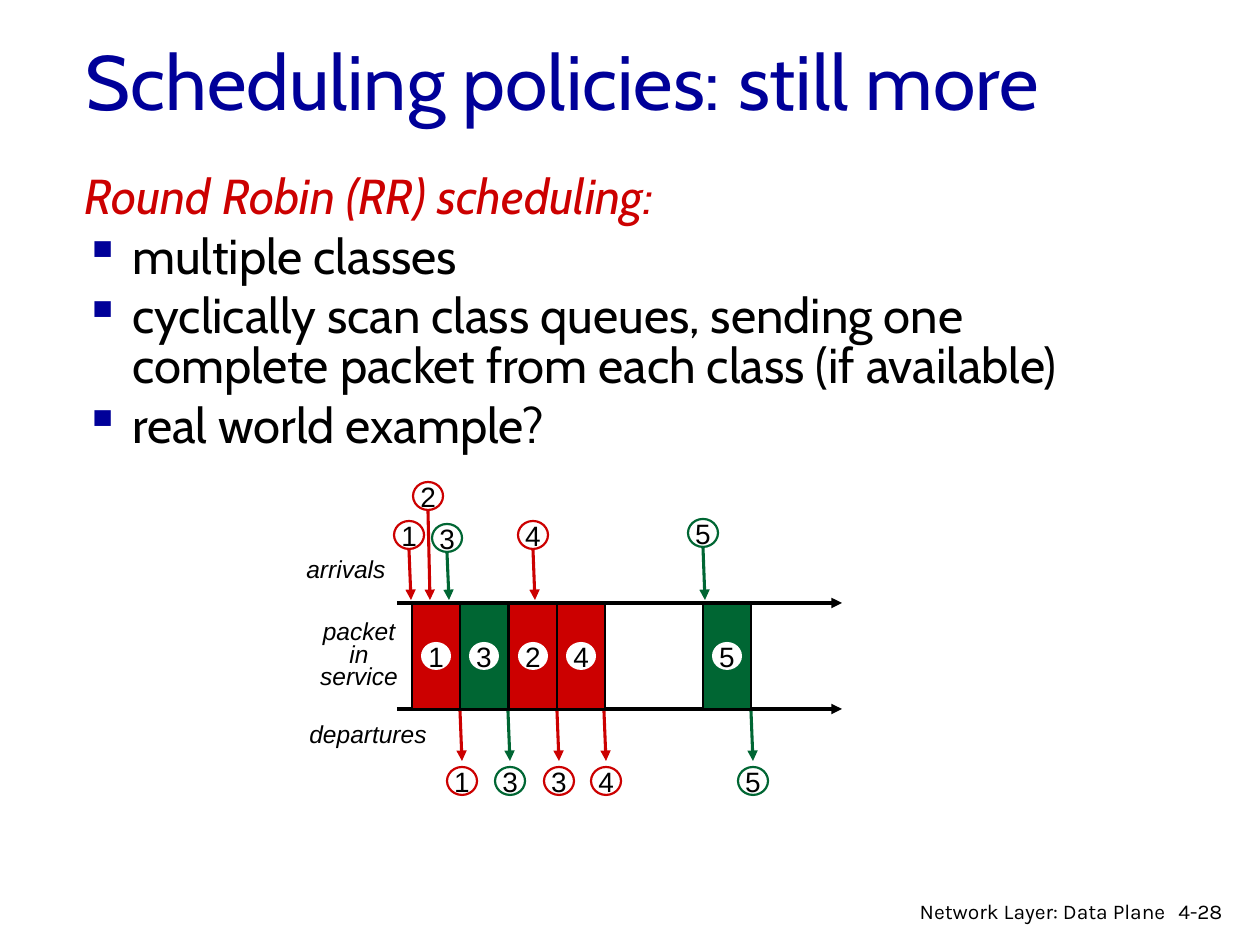
"""Build the slide on round robin packet scheduling."""
from dataclasses import dataclass

from lxml import etree
from pptx import Presentation
from pptx.dml.color import RGBColor
from pptx.enum.shapes import MSO_CONNECTOR, MSO_SHAPE
from pptx.enum.text import MSO_ANCHOR, PP_ALIGN
from pptx.oxml.ns import qn
from pptx.util import Emu, Pt

STRAIGHT = MSO_CONNECTOR.STRAIGHT
OVAL, RECT = MSO_SHAPE.OVAL, MSO_SHAPE.RECTANGLE
TOP, MIDDLE = MSO_ANCHOR.TOP, MSO_ANCHOR.MIDDLE
LEFT, CENTER, RIGHT = PP_ALIGN.LEFT, PP_ALIGN.CENTER, PP_ALIGN.RIGHT
PX = 914400 / 126


@dataclass(frozen=True)
class Theme:
    """Colours, fonts and type sizes of the slide."""
    blue: str = "000099"
    red: str = "CC0000"
    green: str = "006633"
    black: str = "000000"
    white: str = "FFFFFF"
    head_font: str = "Cabin"
    label_font: str = "Arial"
    foot_font: str = "Karla"
    title: int = 44
    body: int = 28
    number: int = 16
    label: int = 14
    foot: int = 12


T = Theme()
BULLETS = [
    "multiple classes",
    "cyclically scan class queues, sending one complete packet from each class (if available)",
    "real world example?",
]
AXIS_LEFT, AXIS_RIGHT, ARRIVAL_Y, DEPARTURE_Y = 397, 842, 603, 709
BLOCK_LEFT, BLOCK_W, BLOCK_H = 412, 48, 105
SERVICE = [(0, "1", T.red), (1, "3", T.green), (2, "2", T.red), (3, "4", T.red), (6, "5", T.green)]
ARRIVALS = [("5", T.green, 703, 533), ("2", T.red, 428, 496), ("1", T.red, 409, 535),
            ("3", T.green, 447, 538), ("4", T.red, 533, 535)]
DEPARTURES = [("5", T.green, 753), ("3", T.green, 510), ("1", T.red, 462),
              ("3", T.red, 559), ("4", T.red, 606)]
DEPARTED_Y = 781
DISC_W, DISC_H = 30, 28


def px(n):
    """Turn pixels into EMU."""
    return Emu(round(n * PX))


def rgb(code):
    """Turn a hex code into a colour."""
    return RGBColor.from_string(code)


def assign(obj, **values):
    """Set several attributes of one object."""
    for name, value in values.items():
        setattr(obj, name, value)


def add_run(p, text, size, font, color=T.black, italic=False):
    """Add one formatted run to a paragraph."""
    r = p.add_run()
    r.text = text
    assign(r.font, size=Pt(size), name=font, italic=italic)
    r.font.color.rgb = rgb(color)


def add_text(s, box, text, size, font, color=T.black, italic=False,
             wrap=True, anchor=TOP, align=LEFT, spacing=None):
    """Add a text box with one paragraph."""
    tf = s.shapes.add_textbox(*map(px, box)).text_frame
    assign(tf, word_wrap=wrap, vertical_anchor=anchor)
    p = tf.paragraphs[0]
    assign(p, alignment=align, line_spacing=spacing)
    add_run(p, text, size, font, color, italic)
    return tf


def add_bullet(tf, text):
    """Append a bulleted paragraph."""
    p = tf.add_paragraph()
    assign(p, line_spacing=0.85, space_before=Pt(T.body * 0.2))
    pPr = p._p.get_or_add_pPr()
    pPr.set("marL", str(px(48)))
    pPr.set("indent", str(-px(48)))
    clr = etree.SubElement(pPr, qn("a:buClr"))
    etree.SubElement(clr, qn("a:srgbClr"), val=T.blue)
    etree.SubElement(pPr, qn("a:buChar"), char="▪")
    add_run(p, text, T.body, T.head_font)


def add_arrow(s, x1, y1, x2, y2, color, width):
    """Add a straight line with an arrowhead at its end."""
    c = s.shapes.add_connector(STRAIGHT, px(x1), px(y1), px(x2), px(y2))
    c.line.color.rgb = rgb(color)
    c.line.width = Pt(width)
    etree.SubElement(c.line._get_or_add_ln(), qn("a:tailEnd"), type="triangle")
    etree.SubElement(c._element.spPr, qn("a:effectLst"))


def add_shape(s, kind, box, fill, line=None):
    """Add a filled preset shape."""
    sp = s.shapes.add_shape(kind, *map(px, box))
    sp.shadow.inherit = False
    sp.fill.solid()
    sp.fill.fore_color.rgb = rgb(fill)
    if line:
        sp.line.color.rgb = rgb(line)
        sp.line.width = Pt(1.25)
    else:
        sp.line.fill.background()
    return sp


def add_disc(s, cx, cy, number, line=None):
    """Add a numbered packet disc around a centre point."""
    box = (cx - DISC_W // 2, cy - DISC_H // 2, DISC_W, DISC_H)
    tf = add_shape(s, OVAL, box, T.white, line).text_frame
    assign(tf, margin_left=0, margin_right=0, margin_top=0, margin_bottom=0,
           word_wrap=False, vertical_anchor=MIDDLE)
    p = tf.paragraphs[0]
    p.alignment = CENTER
    add_run(p, number, T.number, T.label_font)


def add_block(s, slot, number, color):
    """Add the packet served in one time slot."""
    x = BLOCK_LEFT + slot * 97 // 2
    add_shape(s, RECT, (x, ARRIVAL_Y + 1, BLOCK_W, BLOCK_H), color, T.black)
    add_disc(s, x + BLOCK_W // 2, (ARRIVAL_Y + DEPARTURE_Y) // 2, number)


def add_timeline(s):
    """Draw the axes, served packets, arrivals and departures."""
    for y in (ARRIVAL_Y, DEPARTURE_Y):
        add_arrow(s, AXIS_LEFT, y, AXIS_RIGHT, y, T.black, 2)
    for slot, number, color in SERVICE:
        add_block(s, slot, number, color)
    for number, color, x, y in ARRIVALS:
        add_arrow(s, x, y + DISC_H // 2, x + 2, ARRIVAL_Y - 3, color, 1.75)
        add_disc(s, x, y, number, color)
    for number, color, x in DEPARTURES:
        add_arrow(s, x - 2, DEPARTURE_Y + 2, x, DEPARTED_Y - 20, color, 1.75)
        add_disc(s, x, DEPARTED_Y, number, color)
    label = {"size": T.label, "font": T.label_font, "italic": True}
    add_text(s, (294, 548, 111, 43), "arrivals", wrap=False, **label)
    add_text(s, (297, 713, 150, 43), "departures", wrap=False, **label)
    add_text(s, (300, 617, 118, 82), "packet in service", align=CENTER, spacing=Pt(12.8), **label)


def main():
    """Build and save the slide."""
    prs = Presentation()
    prs.slide_width, prs.slide_height = px(1260), px(945)
    s = prs.slides.add_slide(prs.slide_layouts[6])
    add_text(s, (73, 1, 1071, 158), "Scheduling policies: still more",
             T.title, T.head_font, T.blue, anchor=MIDDLE)
    tf = add_text(s, (72, 168, 1071, 105), "Round Robin (RR) scheduling:",
                  T.body, T.head_font, T.red, italic=True, spacing=0.85)
    for text in BULLETS:
        add_bullet(tf, text)
    add_timeline(s)
    add_text(s, (1166, 892, 77, 38), "4-28", T.foot, T.foot_font)
    add_text(s, (878, 892, 300, 33), "Network Layer: Data Plane", T.foot, T.foot_font, align=RIGHT)
    prs.save("out.pptx")


if __name__ == "__main__":
    main()
